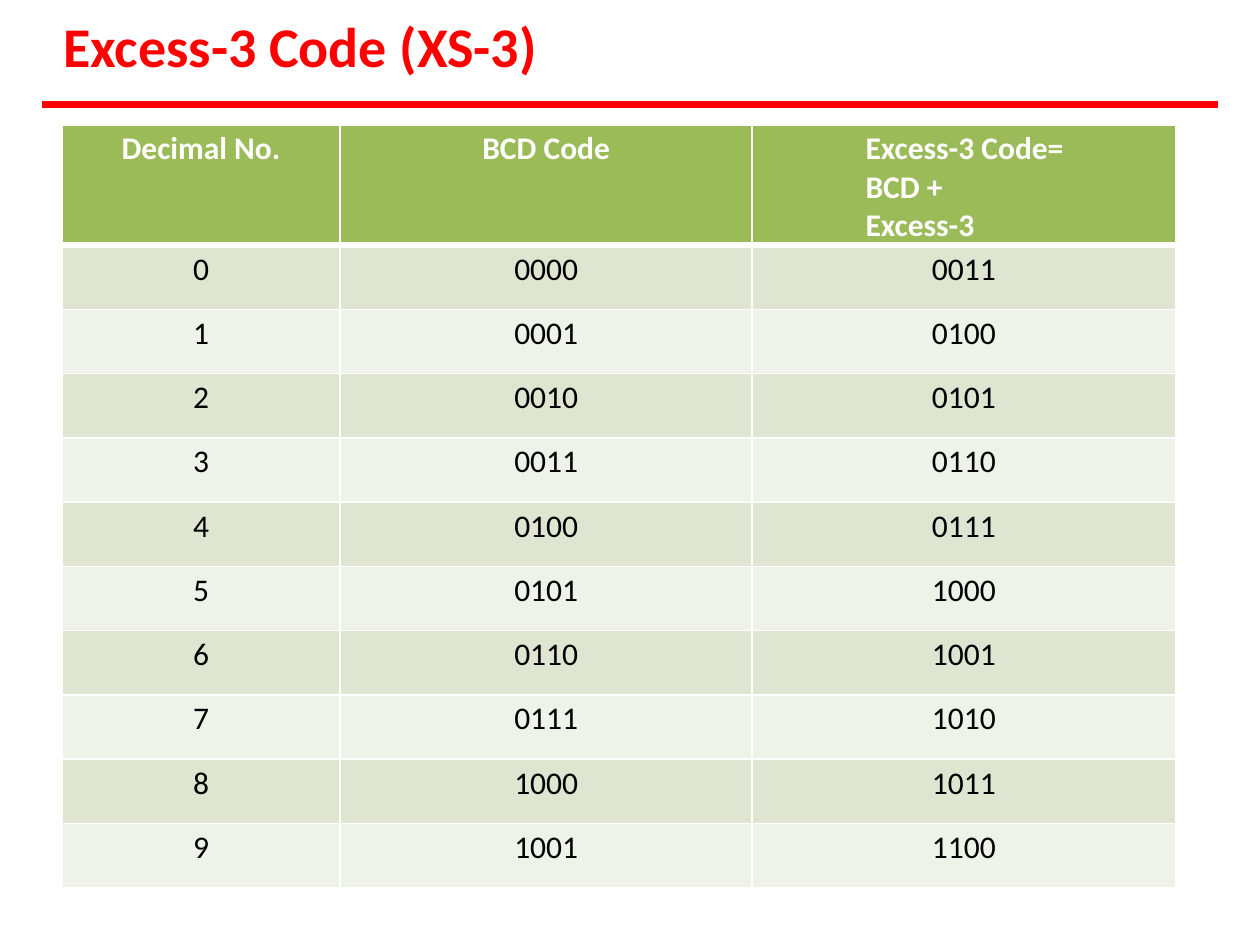
"""Build a slide with the table of decimal, BCD and Excess-3 codes."""
from lxml.etree import SubElement as Sub
from pptx import Presentation
from pptx.dml.color import RGBColor as Rgb
from pptx.enum.shapes import MSO_CONNECTOR as Link
from pptx.enum.text import MSO_ANCHOR as Anchor, MSO_AUTO_SIZE as Fit, PP_ALIGN as Align
from pptx.oxml.ns import qn
from pptx.util import Inches, Pt

INK = {"red": "FF0000", "head": "9BBA58", "odd": "DEE6D1", "even": "EEF3E9",
       "white": "FFFFFF", "black": "000000"}
WIDE, HIGH = 10, 7.5
COLS = (2.21, 3.27, 3.36)
LEFT, TOP, HEAD, ROW = 0.49, 0.99, 0.88, 0.51
HEADS = ("Decimal No.", "BCD Code", "Excess-3 Code=\vBCD +\vExcess-3")


def tint(name):
    return Rgb.from_string(INK[name])


def style(par, size, color, bold):
    font = par.font
    font.name, font.size, font.bold = "Calibri", Pt(size), bold
    font.color.rgb = tint(color)


def add_title(slide, text):
    title = slide.shapes.title
    title.left, title.top = Inches(0.05 * WIDE), Inches(0.08)
    title.width, title.height = Inches(3.79), Inches(0.56)
    frame = title.text_frame
    frame.text = text
    frame.auto_size, frame.vertical_anchor = Fit.NONE, Anchor.TOP
    frame.margin_left = frame.margin_right = frame.margin_bottom = 0
    frame.margin_top = Inches(0.01)
    par = frame.paragraphs[0]
    par.alignment = Align.LEFT
    style(par, 32, "red", True)


def add_rule(slide):
    edge, y = WIDE / 30, Inches(HIGH / 9)
    line = slide.shapes.add_connector(
        Link.STRAIGHT, Inches(edge), y, Inches(WIDE - edge), y)
    line.line.color.rgb, line.line.width = tint("red"), Pt(4)
    Sub(line._element.spPr, qn("a:effectLst"))


def add_edges(cell, top, base):
    props = cell._tc.get_or_add_tcPr()
    for side, width in zip("LRTB", (1, 1, top, base)):
        edge = Sub(props, qn(f"a:ln{side}"), w=str(Pt(width)))
        Sub(Sub(edge, qn("a:solidFill")), qn("a:srgbClr"), val=INK["white"])


def fill_cell(cell, text, row):
    add_edges(cell, 4.25 if row == 1 else 1, 4.25 if row == 0 else 1)
    cell.fill.solid()
    cell.fill.fore_color.rgb = tint("head" if row == 0 else "odd" if row % 2 else "even")
    cell.margin_left = cell.margin_right = cell.margin_bottom = 0
    cell.margin_top = Inches(0.04)
    cell.text = text
    par = cell.text_frame.paragraphs[0]
    if row == 0 and "\v" in text:
        par.alignment = Align.LEFT
        cell.margin_left = Inches(0.9)
    else:
        par.alignment = Align.CENTER
    style(par, 18, "black" if row else "white", row == 0)


def add_codes(slide):
    rows = [HEADS] + [(str(n), f"{n:04b}", f"{n + 3:04b}") for n in range(10)]
    table = slide.shapes.add_table(
        len(rows), len(COLS), Inches(LEFT), Inches(TOP),
        Inches(sum(COLS)), Inches(HEAD + ROW * 10)).table
    for col, width in zip(table.columns, COLS):
        col.width = Inches(width)
    for r, texts in enumerate(rows):
        table.rows[r].height = Inches(ROW if r else HEAD)
        for c, text in enumerate(texts):
            fill_cell(table.cell(r, c), text, r)


def main():
    deck = Presentation()
    deck.slide_width, deck.slide_height = Inches(WIDE), Inches(HIGH)
    slide = deck.slides.add_slide(deck.slide_layouts[5])
    add_rule(slide)
    add_title(slide, "Excess-3 Code (XS-3)")
    add_codes(slide)
    deck.save("out.pptx")


if __name__ == "__main__":
    main()
